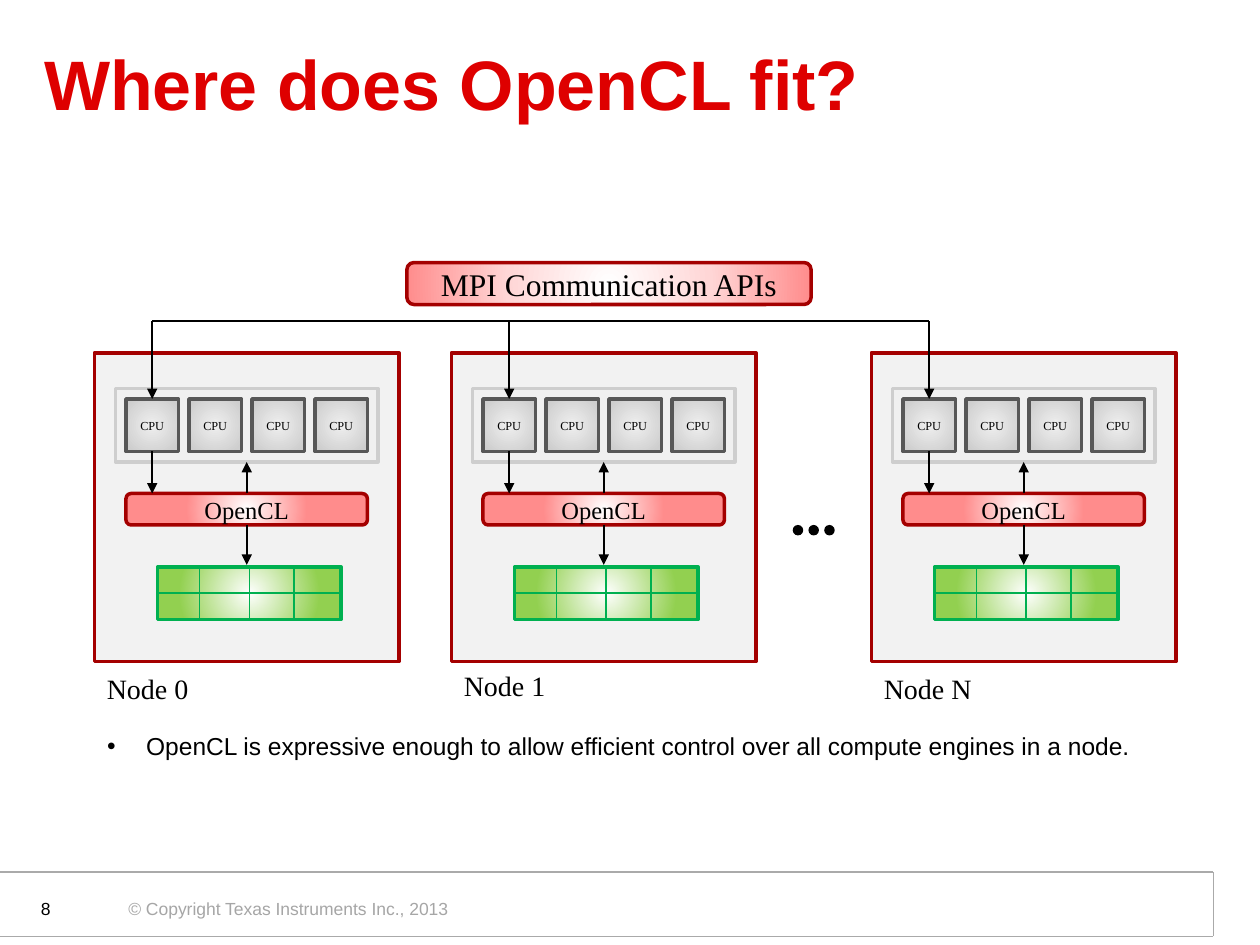
from lxml import etree
from pptx import Presentation
from pptx.dml.color import RGBColor
from pptx.enum.shapes import MSO_CONNECTOR, MSO_SHAPE as SHAPE
from pptx.enum.text import MSO_ANCHOR as ANCHOR, MSO_AUTO_SIZE, PP_ALIGN as ALIGN
from pptx.oxml import parse_xml
from pptx.oxml.ns import nsdecls, qn
from pptx.util import Inches, Pt

# Content
TITLE = "Where does OpenCL fit?"
BULLET = "OpenCL is expressive enough to allow efficient control over all compute engines in a node."
COPYRIGHT = "© Copyright Texas Instruments Inc., 2013"
PAGE = "8"
API = "MPI Communication APIs"
CPUS = ["CPU"] * 4
RUNTIME = "OpenCL"
# name, left column, label row
NODES = [("Node 0", 9, 63.4), ("Node 1", 43, 63.1), ("Node N", 83, 63.4)]

# Grid: 12 columns and 12 rows to the inch
CELL = 1 / 12
NODE_TOP, NODE_W, NODE_H = 33.6, 29, 29.4
BUS_ROW, CPU_ROW, RUNTIME_ROW, ACCEL_ROW = 30.6, 38, 47, 54
CPU_SIZE, CPU_STEP = 5, 6
CPU_ARROW, MID_ARROW = 5.5, 14.5     # columns within a node
ACCEL_COL, ACCEL_W, ACCEL_H = 6, 17.5, 5
ACCEL_SPLITS = [10, 14.75, 19]
DOT_COLS, DOT_ROW = [75.5, 77, 78.5], 50

# Style
SANS, SERIF = "Arial", "Times New Roman"
BLACK, WHITE = RGBColor(0, 0, 0), RGBColor(255, 255, 255)
RED = RGBColor(0xDE, 0, 0)
DARK_RED = RGBColor(0xA4, 0, 0)
ROSE = RGBColor(0xFF, 0x8C, 0x8C)
PALE_ROSE = RGBColor(0xFF, 0xD6, 0xD6)
GREEN = RGBColor(0, 0xB0, 0x50)
LIME = RGBColor(0x92, 0xD0, 0x50)
NODE_GREY = RGBColor(0xF2, 0xF2, 0xF2)
PALE_GREY = RGBColor(0xEF, 0xEF, 0xEF)
MID_GREY = RGBColor(0xCE, 0xCE, 0xCE)
DARK_GREY = RGBColor(0x57, 0x57, 0x57)
RULE_GREY = RGBColor(0xAA, 0xAA, 0xAA)
FOOT_GREY = RGBColor(0xA6, 0xA6, 0xA6)
API_GLOW = [(0, WHITE), (50, PALE_ROSE), (100, ROSE)]
RUNTIME_GLOW = [(0, WHITE), (50, ROSE), (100, ROSE)]
CPU_GLOW = [(0, PALE_GREY), (89, MID_GREY), (100, MID_GREY)]
ACCEL_GLOW = [(0, WHITE), (74, LIME), (100, LIME)]

prs = Presentation()
prs.slide_width, prs.slide_height = Inches(10), Inches(7.5)
s = prs.slides.add_slide(prs.slide_layouts[1])


def place(sp, x, y, w, h):
    sp.left, sp.top, sp.width, sp.height = (Inches(v) for v in (x, y, w, h))


def write(tf, text, size, font, color, align=ALIGN.LEFT, bold=False):
    p = tf.paragraphs[0]
    p.alignment = align
    p.space_before = Pt(0)
    r = p.add_run()
    r.text = text
    r.font.size, r.font.name, r.font.bold = Pt(size), font, bold
    r.font.color.rgb = color
    return p


def glow(sp, stops):
    """Fill a shape with a gradient running out from its centre."""
    sp.fill.solid()
    solid = sp.element.spPr.find(qn("a:solidFill"))
    gs = "".join(f'<a:gs pos="{pos * 1000}"><a:srgbClr val="{c}"/></a:gs>' for pos, c in stops)
    grad = parse_xml(
        f'<a:gradFill {nsdecls("a")} rotWithShape="1"><a:gsLst>{gs}</a:gsLst><a:path path="circle">'
        '<a:fillToRect l="50000" t="50000" r="50000" b="50000"/></a:path></a:gradFill>')
    solid.getparent().replace(solid, grad)


def box(x, y, w, h, fill, line=None, kind=SHAPE.RECTANGLE, text=None, size=None):
    """Shape on the grid; a list as fill gives a gradient."""
    sp = s.shapes.add_shape(kind, *(Inches(v * CELL) for v in (x, y, w, h)))
    sp.shadow.inherit = False
    if isinstance(fill, list):
        glow(sp, fill)
    else:
        sp.fill.solid()
        sp.fill.fore_color.rgb = fill
    if line is None:
        sp.line.fill.background()
    else:
        sp.line.color.rgb, sp.line.width = line, Pt(2)
    if text:
        tf = sp.text_frame
        tf.vertical_anchor = ANCHOR.MIDDLE
        tf.margin_left = tf.margin_right = tf.margin_top = tf.margin_bottom = 0
        write(tf, text, size, SERIF, BLACK, ALIGN.CENTER)
    return sp


def line(x1, y1, x2, y2, color=BLACK, width=1, arrow=False, unit=CELL):
    cn = s.shapes.add_connector(MSO_CONNECTOR.STRAIGHT, *(Inches(v * unit) for v in (x1, y1, x2, y2)))
    cn.line.color.rgb, cn.line.width = color, Pt(width)
    if arrow:
        etree.SubElement(cn.line._get_or_add_ln(), qn("a:tailEnd"), type="triangle")
    etree.SubElement(cn.element.spPr, qn("a:effectLst"))


def label(x, y, w, h, text, size, font, color, align=ALIGN.LEFT, wrap=True):
    tb = s.shapes.add_textbox(*(Inches(v) for v in (x, y, w, h)))
    tb.text_frame.word_wrap = wrap
    write(tb.text_frame, text, size, font, color, align)


def draw_node(name, left, label_row):
    box(left, NODE_TOP, NODE_W, NODE_H, NODE_GREY, DARK_RED)
    # CPU cluster
    cluster = box(left + 2, CPU_ROW - 1, 25, 7, PALE_GREY, MID_GREY)
    tint = cluster.element.spPr.find(qn("a:solidFill"))[0]
    etree.SubElement(tint, qn("a:alpha"), val="44000")
    for i, cpu in enumerate(CPUS):
        box(left + 3 + i * CPU_STEP, CPU_ROW, CPU_SIZE, CPU_SIZE, CPU_GLOW, DARK_GREY,
            text=cpu, size=7)
    # Runtime bar
    box(left + 3, RUNTIME_ROW, 23, 3, RUNTIME_GLOW, DARK_RED,
        SHAPE.ROUNDED_RECTANGLE, RUNTIME, 14)
    # Accelerator grid
    x, bottom = left + ACCEL_COL, ACCEL_ROW + ACCEL_H
    box(x, ACCEL_ROW, ACCEL_W, ACCEL_H, ACCEL_GLOW, GREEN)
    for col in ACCEL_SPLITS:
        line(left + col, ACCEL_ROW, left + col, bottom, GREEN)
    middle = ACCEL_ROW + ACCEL_H / 2
    line(x, middle, x + ACCEL_W, middle, GREEN)
    # Arrows
    for col, start, end in [(CPU_ARROW, BUS_ROW, CPU_ROW),
                            (CPU_ARROW, CPU_ROW + CPU_SIZE, RUNTIME_ROW),
                            (MID_ARROW, RUNTIME_ROW + 3, ACCEL_ROW - 0.2),
                            (MID_ARROW, RUNTIME_ROW, CPU_ROW + 6)]:
        line(left + col, start, left + col, end, arrow=True)
    label(left * CELL, label_row * CELL, 1, 0.37, name, 16, SERIF, BLACK)


# Footer
foot = [(-0.01, 7.43), (9.63, 7.43), (9.63, 6.92), (-0.01, 6.92)]
for start, end in zip(foot, foot[1:]):
    line(*start, *end, RULE_GREY, 0.75, unit=1)
label(0.92, 7.08, 2.78, 0.27, COPYRIGHT, 10, SANS, FOOT_GREY, wrap=False)
label(0.08, 7.08, 0.42, 0.23, PAGE, 10, SANS, BLACK, ALIGN.RIGHT)

# Title
title = s.shapes.title
place(title, 0.25, 0.16, 9.25, 1.09)
title.text_frame.vertical_anchor = ANCHOR.MIDDLE
title.text_frame.auto_size = MSO_AUTO_SIZE.NONE
write(title.text_frame, TITLE, 40, SANS, RED, bold=True).line_spacing = 0.85

# Bullet
body = s.placeholders[1]
place(body, 0.75, 5.75, 8.58, 0.34)
body.text_frame.auto_size = MSO_AUTO_SIZE.NONE
pPr = write(body.text_frame, BULLET, 14, SANS, BLACK)._p.get_or_add_pPr()
pPr.set("marL", str(Inches(0.31)))
pPr.set("indent", str(-Inches(0.31)))
etree.SubElement(pPr, qn("a:buChar"), char="•")

# Nodes, the bus that joins them, and the dots between
for node in NODES:
    draw_node(*node)
line(NODES[0][1] + CPU_ARROW, BUS_ROW, NODES[-1][1] + CPU_ARROW, BUS_ROW)
box(38.75, 25, 38.5, 4, API_GLOW, DARK_RED, SHAPE.ROUNDED_RECTANGLE, API, 18)
for col in DOT_COLS:
    box(col, DOT_ROW, 1, 1, BLACK, kind=SHAPE.OVAL)

prs.save("out.pptx")
